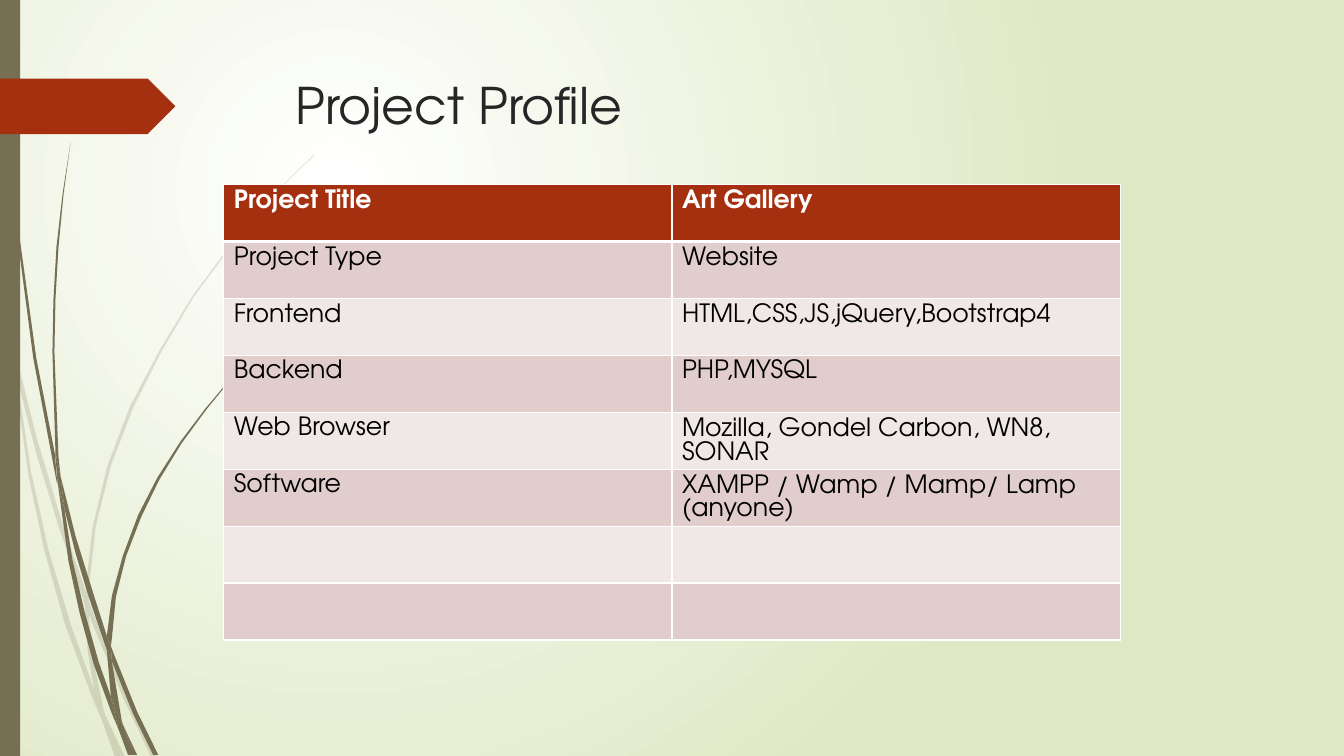
from lxml import etree
from pptx import Presentation, util as u
from pptx.dml.color import RGBColor
from pptx.enum import shapes, text
from pptx.oxml.ns import qn

FONT = "TeX Gyre Adventor"
HEX = {
    "white": "FFFFFF", "lime": "DFE8C4", "olive": "766F54", "rust": "A53010",
    "title": "262626", "black": "000000", "rose": "E1CDCC", "pale": "F0E8E7",
}

# Corners of the grass pieces
FAINT = [
    [(0.11, 3.5), (0.09, 3.22), (0, 2.82), (0, 2.99), (0.1, 3.44)],
    [(0.58, 5.22), (0.84, 5.99), (0.85, 5.86), (0.62, 5.2), (0.36, 4.33),
     (0.14, 3.45), (0.17, 3.76), (0.36, 4.5)],
    [(0.92, 6.07), (0.88, 5.96), (0.88, 6.1), (1.23, 6.94), (1.5, 7.51),
     (1.55, 7.51), (1.27, 6.92)],
    [(1.19, 7.51), (1.24, 7.51), (1.05, 7.11)],
    [(0.93, 6.83), (0.7, 6.19), (0.48, 5.45), (0.31, 4.69), (0.17, 3.76),
     (0.11, 3.5), (0.28, 4.7), (0.44, 5.46), (0.65, 6.21), (0.92, 6.93),
     (1.01, 7.14), (0.99, 7.07)],
    [(0.84, 5.99), (0.87, 6.46), (0.93, 6.83), (0.96, 6.92), (1.05, 7.11),
     (1.03, 7.06), (0.91, 6.46), (0.88, 6.1), (0.88, 6.08)],
    [(0.88, 5.84), (0.95, 5.22), (1.1, 4.62), (1.32, 4.05), (1.6, 3.49),
     (1.92, 2.95), (2.29, 2.45), (2.68, 1.98), (2.9, 1.75), (3.12, 1.54),
     (3.12, 1.53), (2.89, 1.75), (2.68, 1.97), (2.28, 2.44), (1.9, 2.95),
     (1.58, 3.48), (1.29, 4.03), (1.07, 4.61), (0.92, 5.22), (0.85, 5.84),
     (0.85, 5.86), (0.88, 5.96)],
    [(1.01, 7.14), (1.14, 7.51), (1.19, 7.51)],
    [(0.88, 6.08), (0.88, 6.1), (0.88, 5.96), (0.85, 5.86), (0.84, 5.99)],
    [(0.96, 6.92), (0.93, 6.83), (0.99, 7.07), (1.01, 7.14), (1.19, 7.51),
     (1.05, 7.11)],
]
DARK = [
    [(0.07, 1.1), (0.17, 2.33), (0.33, 3.55), (0.56, 4.77), (0.57, 4.81),
     (0.55, 4.57), (0.55, 4.53), (0.36, 3.55), (0.19, 2.32), (0.08, 1.09),
     (0.05, 0.48), (0.04, 0), (0.03, 0), (0.04, 0.48)],
    [(0.88, 5.92), (1.06, 6.45), (1.06, 6.31), (0.93, 5.9), (0.75, 5.32),
     (0.6, 4.72), (0.64, 5.05), (0.75, 5.49)],
    [(1.13, 6.49), (1.1, 6.41), (1.11, 6.56), (1.32, 7.08), (1.52, 7.49),
     (1.57, 7.49), (1.36, 7.06)],
    [(1.1, 6.91), (0.98, 6.57), (0.84, 6.07), (0.72, 5.56), (0.64, 5.05),
     (0.57, 4.77), (0.68, 5.57), (0.79, 6.08), (0.93, 6.59), (1.11, 7.08),
     (1.17, 7.22), (1.16, 7.17)],
    [(0.6, 4.72), (0.58, 4.53), (0.54, 3.49), (0.55, 2.97), (0.58, 2.45),
     (0.63, 1.93), (0.7, 1.41), (0.62, 1.93), (0.56, 2.45), (0.53, 2.97),
     (0.52, 3.49), (0.55, 4.49)],
    [(1.33, 7.49), (1.36, 7.49), (1.22, 7.19)],
    [(0.57, 4.77), (0.64, 5.05), (0.6, 4.72), (0.55, 4.49), (0.55, 4.53)],
    [(1.11, 6.33), (1.15, 5.92), (1.25, 5.52), (1.4, 5.13), (1.58, 4.76),
     (1.8, 4.4), (2.05, 4.06), (2.31, 3.74), (2.45, 3.59), (2.61, 3.44),
     (2.6, 3.44), (2.45, 3.58), (2.31, 3.73), (2.04, 4.05), (1.79, 4.38),
     (1.56, 4.74), (1.37, 5.11), (1.22, 5.51), (1.11, 5.91), (1.06, 6.31),
     (1.1, 6.41)],
    [(1.17, 7.22), (1.27, 7.49), (1.31, 7.49)],
    [(1.06, 6.45), (1.1, 6.91), (1.16, 7.06), (1.22, 7.19), (1.21, 7.16),
     (1.11, 6.56), (1.09, 6.51)],
    [(1.06, 6.45), (1.09, 6.51), (1.11, 6.56), (1.1, 6.41), (1.06, 6.31)],
    [(1.16, 7.06), (1.1, 6.91), (1.16, 7.17), (1.17, 7.22), (1.3, 7.49),
     (1.33, 7.49), (1.22, 7.19)],
]

ROWS = [
    ("Project Title", "Art Gallery"),
    ("Project Type", "Website"),
    ("Frontend", "HTML,CSS,JS,jQuery,Bootstrap4"),
    ("Backend", "PHP,MYSQL"),
    ("Web Browser", "Mozilla, Gondel Carbon, WN8, SONAR"),
    ("Software", "XAMPP / Wamp / Mamp/ Lamp (anyone)"),
    ("", ""),
    ("", ""),
]
WRAP = 30  # longer entries take two lines


def rgb(name):
    return RGBColor.from_string(HEX[name])


def paint(shape, color, alpha=None):
    shape.shadow.inherit = False
    shape.fill.solid()
    shape.fill.fore_color.rgb = rgb(color)
    shape.line.fill.background()
    if alpha:
        tint = shape.fill._xPr.find(qn("a:solidFill"))[0]
        etree.SubElement(tint, qn("a:alpha"), val=str(alpha * 1000))


def add_back(slide):
    fill = slide.background.fill
    fill.gradient()
    for stop, color in zip(fill.gradient_stops, ("white", "lime")):
        stop.color.rgb = rgb(color)
    grad = slide.background._cSld.find(".//" + qn("a:gradFill"))
    line = grad.find(qn("a:lin"))
    ring = etree.Element(qn("a:path"), path="circle")
    etree.SubElement(ring, qn("a:fillToRect"),
                     l="50000", t="50000", r="100000", b="100000")
    grad.replace(line, ring)


def add_blade(slide, knots, alpha=None):
    edge = [(u.Inches(x), u.Inches(y)) for x, y in knots]
    form = slide.shapes.build_freeform(*edge[0])
    form.add_line_segments(edge[1:], close=True)
    paint(form.convert_to_shape(), "olive", alpha)


def add_block(slide, kind, box, color):
    shape = slide.shapes.add_shape(kind, *map(u.Inches, box))
    paint(shape, color)


def add_run(para, words, size, color, bold=False):
    run = para.add_run()
    run.text = words
    run.font.name = FONT
    run.font.size = u.Pt(size)
    run.font.bold = bold
    run.font.color.rgb = rgb(color)


def add_title(slide, words, box):
    frame = slide.shapes.add_textbox(*map(u.Inches, box)).text_frame
    frame.word_wrap = True
    frame.vertical_anchor = text.MSO_ANCHOR.TOP
    add_run(frame.paragraphs[0], words, 36, "title")


def add_edge(cell, side, width):
    props = cell._tc.get_or_add_tcPr()
    line = etree.SubElement(props, qn("a:ln" + side), w=str(u.Pt(width)))
    fill = etree.SubElement(line, qn("a:solidFill"))
    etree.SubElement(fill, qn("a:srgbClr"), val=HEX["white"])


def add_grid(slide, rows, box):
    table = slide.shapes.add_table(len(rows), 2, *map(u.Inches, box)).table
    for r, row in enumerate(rows):
        head = r == 0
        shade = "rust" if head else ("pale", "rose")[r % 2]
        for c, words in enumerate(row):
            cell = table.cell(r, c)
            for side in "LRTB":
                thick = (head and side == "B") or (r == 1 and side == "T")
                add_edge(cell, side, 3 if thick else 1)
            cell.fill.solid()
            cell.fill.fore_color.rgb = rgb(shade)
            para = cell.text_frame.paragraphs[0]
            if len(words) > WRAP:
                para.line_spacing = u.Pt(17)
                cell.margin_bottom = u.Inches(0.03)
            if words:
                add_run(para, words, 18, "white" if head else "black", head)


def main():
    deck = Presentation()
    deck.slide_width, deck.slide_height = u.Inches(13.33), u.Inches(7.5)
    slide = deck.slides.add_slide(deck.slide_layouts[6])

    # Backdrop
    add_back(slide)
    for knots in FAINT:
        add_blade(slide, knots, 20)
    for knots in DARK:
        add_blade(slide, knots)
    add_block(slide, shapes.MSO_SHAPE.RECTANGLE, (0, 0, 0.2, 7.5), "olive")
    add_block(slide, shapes.MSO_SHAPE.PENTAGON, (0, 0.78, 1.74, 0.55), "rust")

    # Content
    add_title(slide, "Project Profile", (2.83, 0.69, 9.75, 1.4))
    add_grid(slide, ROWS, (2.22, 1.83, 8.89, 4.52))

    deck.save("out.pptx")


if __name__ == "__main__":
    main()
